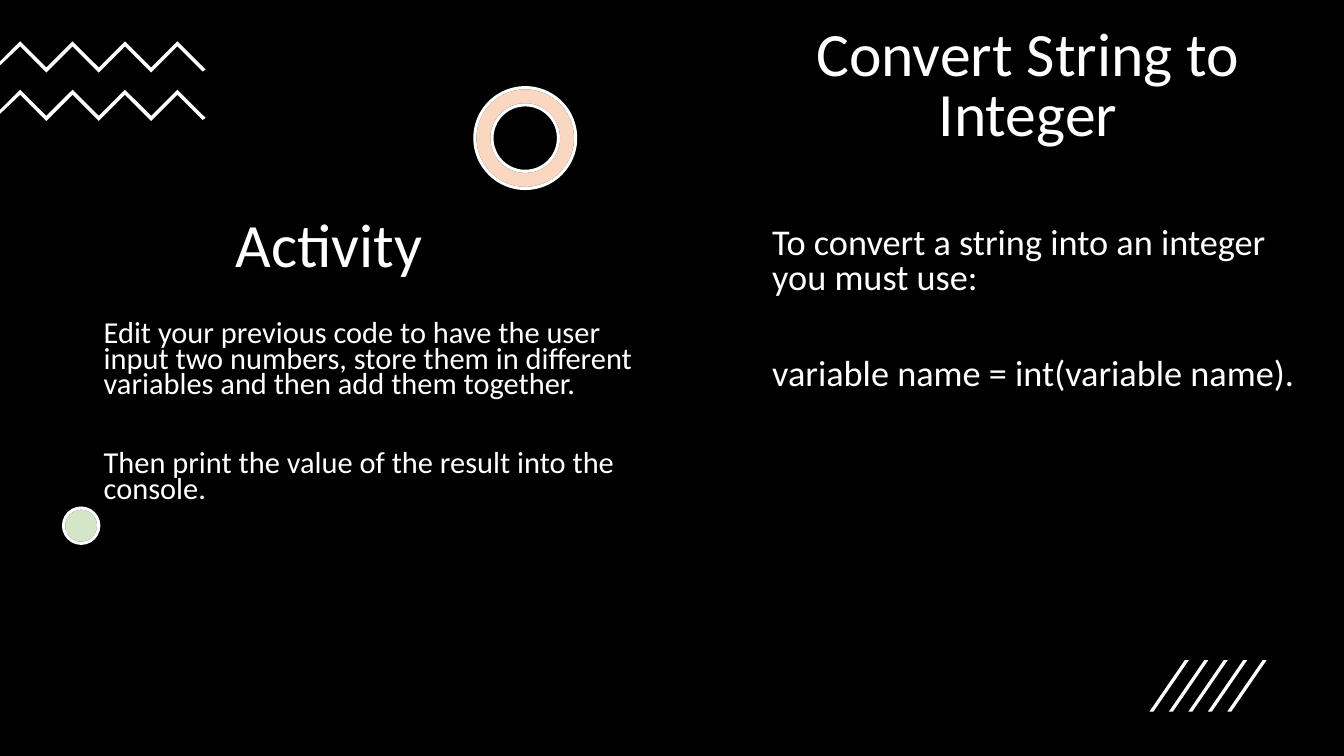
from lxml.etree import SubElement
from pptx import Presentation
from pptx.dml.color import RGBColor
from pptx.enum.shapes import MSO_SHAPE
from pptx.enum.text import MSO_ANCHOR, MSO_AUTO_SIZE, PP_ALIGN
from pptx.oxml.ns import qn
from pptx.util import Inches, Pt

BLACK = RGBColor(0x00, 0x00, 0x00)
WHITE = RGBColor(0xFF, 0xFF, 0xFF)
ORANGE = RGBColor(0xED, 0x7D, 0x31)
GREEN = RGBColor(0x70, 0xAD, 0x47)


def write_text(box, texts, size, spacing, gap=0, align=PP_ALIGN.LEFT):
    frame = box.text_frame
    frame.word_wrap = True
    frame.auto_size = MSO_AUTO_SIZE.NONE
    frame.text = "\n".join(texts)
    for index, para in enumerate(frame.paragraphs):
        para.alignment = align
        para.line_spacing = spacing
        para.space_before = Pt(gap if index else 0)
        for span in para.runs:
            span.font.size = Pt(size)
            span.font.name = "Calibri"
            span.font.color.rgb = WHITE


def draw_outline(group, points):
    corners = [(Inches(x), Inches(y)) for x, y in points]
    builder = group.shapes.build_freeform(*corners[0])
    builder.add_line_segments(corners[1:], close=True)
    shape = builder.convert_to_shape()
    shape.shadow.inherit = False
    shape.fill.solid()
    shape.fill.fore_color.rgb = WHITE
    shape.line.fill.background()


deck = Presentation()
deck.slide_width = Inches(13.33)
deck.slide_height = Inches(7.5)
page = deck.slides.add_slide(deck.slide_layouts[5])
page.background.fill.solid()
page.background.fill.fore_color.rgb = BLACK

rounds = [
    (MSO_SHAPE.DONUT, 4.71, 0.87, 1, ORANGE),
    (MSO_SHAPE.OVAL, 0.63, 5.04, 0.35, GREEN),
]
for preset, left, top, size, tint in rounds:
    for color, border, alpha in [(WHITE, BLACK, 100), (tint, WHITE, 30)]:
        shape = page.shapes.add_shape(
            preset, Inches(left), Inches(top), Inches(size), Inches(size)
        )
        if preset == MSO_SHAPE.DONUT:
            shape.adjustments[0] = 0.17
        shape.shadow.inherit = False
        shape.fill.solid()
        shape.fill.fore_color.rgb = color
        shape.line.color.rgb = border
        shape.line.width = Pt(2.25)
        fill_color = shape.fill._xPr.find(qn("a:solidFill"))[0]
        SubElement(fill_color, qn("a:alpha")).set("val", str(alpha * 1000))

zigzags = page.shapes.add_group_shape()
for top in (0.41, 0.89):
    upper = [(0.2 + 0.26 * i, top + 0.26 * (i % 2)) for i in range(7)]
    lower = [(x, y + 0.05) for x, y in reversed(upper)]
    right_end = [(2.04, top + 0.28), (2.01, top + 0.3)]
    left_end = [(0, top + 0.24), (0, top + 0.2)]
    draw_outline(zigzags, upper + right_end + lower + left_end)

stripes = page.shapes.add_group_shape()
for i in range(5):
    left = 11.4 + 0.193 * i
    draw_outline(
        stripes,
        [(left + 0.04, 7.06), (left, 7.06), (left + 0.35, 6.55), (left + 0.39, 6.55)],
    )

title = page.shapes.title
title.left, title.top = Inches(0.41), Inches(1.82)
title.width, title.height = Inches(5.71), Inches(1.28)
title.text_frame.vertical_anchor = MSO_ANCHOR.MIDDLE
write_text(title, ["Activity"], 44, 0.9, align=PP_ALIGN.CENTER)

heading = page.shapes.add_textbox(
    Inches(7.34), Inches(0.24), Inches(5.71), Inches(1.28)
)
heading.text_frame.vertical_anchor = MSO_ANCHOR.MIDDLE
write_text(heading, ["Convert String to Integer"], 44, 0.8, align=PP_ALIGN.CENTER)

activity = [
    "Edit your previous code to have the user input two numbers, "
    "store them in different variables and then add them together.",
    "Then print the value of the result into the console.",
]
conversion = [
    "To convert a string into an integer you must use:",
    "variable name = int(variable name).",
]
bodies = [
    (0.93, 2.31, 0.9, activity, 21.7, 0.7, 38),
    (7.56, 1.2, 1.06, conversion, 25.9, 0.8, 44),
]
for left, top, inset, texts, size, spacing, gap in bodies:
    box = page.shapes.add_textbox(
        Inches(left), Inches(top), Inches(5.71), Inches(2.87)
    )
    box.text_frame.margin_top = Inches(inset)
    write_text(box, texts, size, spacing, gap)

deck.save("out.pptx")
